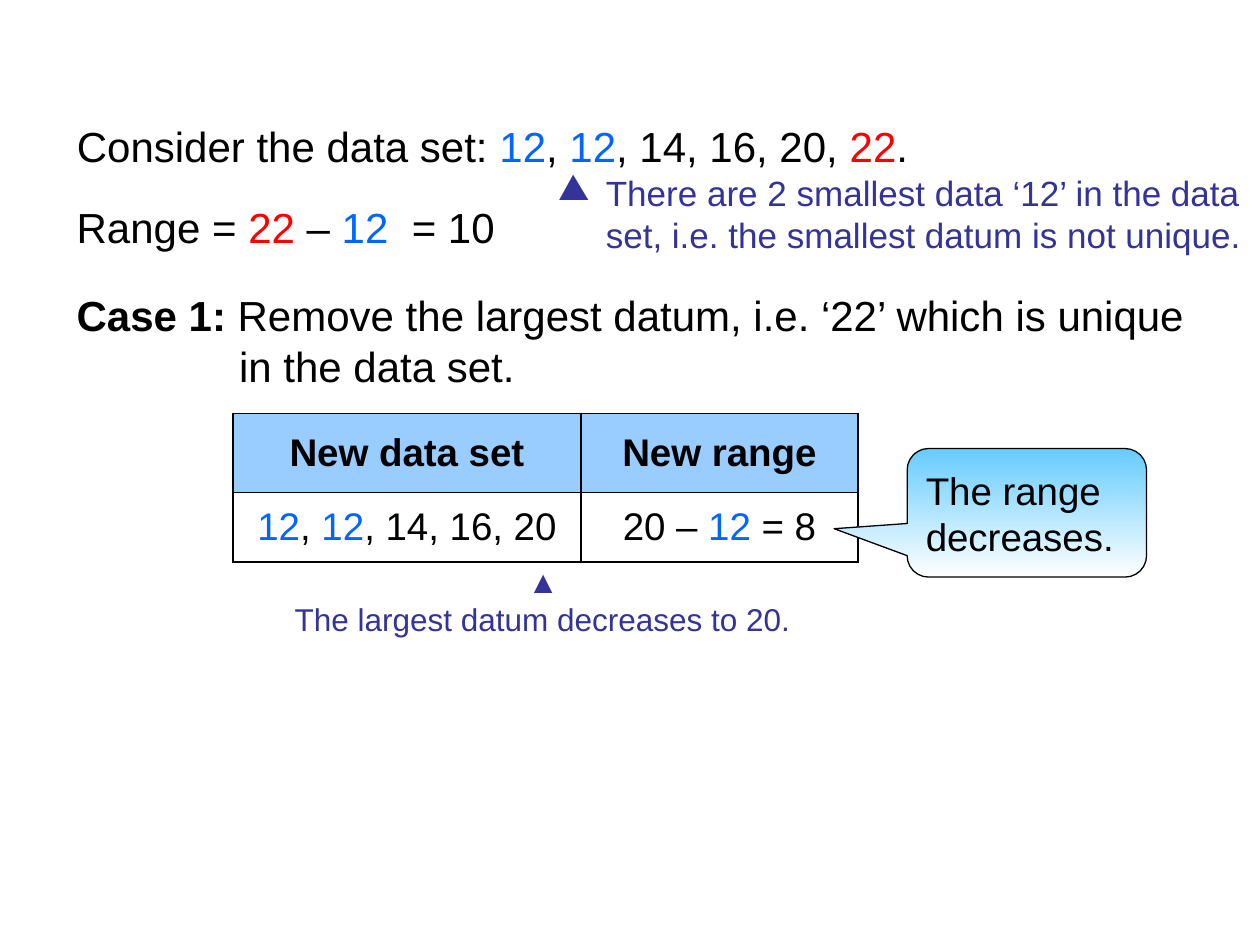
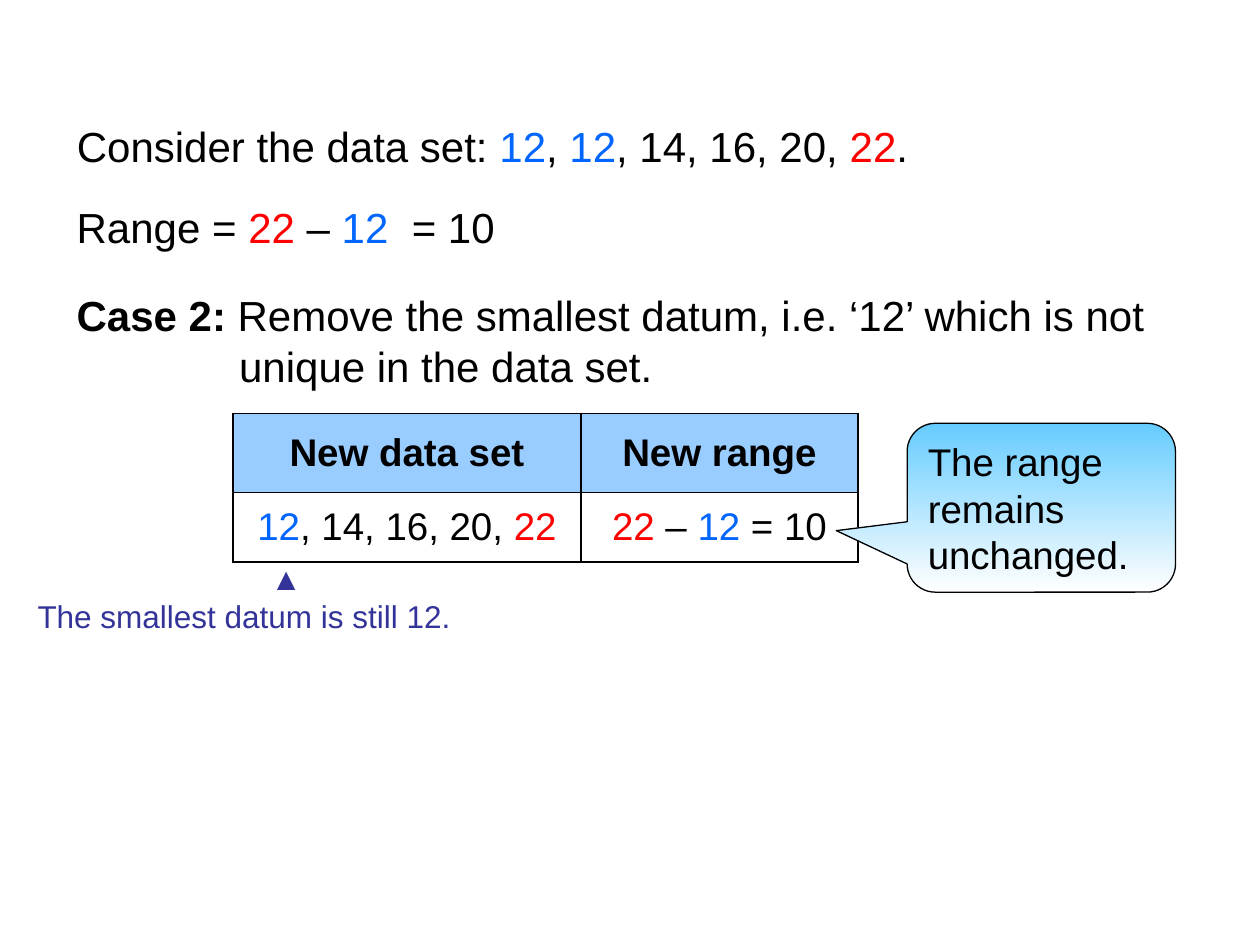
from dataclasses import dataclass
from typing import NamedTuple

from lxml import etree
from pptx import Presentation
from pptx.dml.color import RGBColor
from pptx.enum import shapes, text as text_enum
from pptx.oxml import ns
from pptx.util import Inches, Pt

COLORS = {
    "black": "000000",
    "white": "FFFFFF",
    "red": "FF0000",
    "blue": "0066FF",
    "note": "333399",
    "header": "99CCFF",
    "callout": "66CCFF",
}
FONT = "Arial"
TITLE_ONLY_LAYOUT = 5
ALIGN = text_enum.PP_ALIGN
ANCHOR = text_enum.MSO_ANCHOR

# Shared geometry, in inches
LEFT_EDGE = 0.51
TABLE_TOP = 3.28
ROW_HEIGHTS = (0.63, 0.55)
CALLOUT_LEFT = 7.2
CASE_INDENT = 1.29
MARKER_INDENT = 1.85


class Box(NamedTuple):
    left: float
    top: float
    width: float
    height: float

    def lengths(self) -> list:
        return [Inches(value) for value in self]


class Run(NamedTuple):
    text: str
    color: str = ""
    bold: bool = False


class Column(NamedTuple):
    heading: str
    left: float
    width: float


@dataclass
class Callout:
    text: str
    box: Box
    tip: tuple


@dataclass
class Case:
    label: str
    action: str
    new_data: list
    new_range: list
    callout: Callout
    note: str
    note_box: Box
    remark: tuple = ()


SMALLEST = Run("12", "blue")
LARGEST = Run("22", "red")
COLUMNS = (Column("New data set", 1.85, 2.76), Column("New range", 4.61, 2.2))

CASES = [
    Case(
        label="Case 1: ",
        action="Remove the largest datum, i.e. ‘22’ which is unique in the data set.",
        new_data=[SMALLEST, Run(", "), SMALLEST, Run(", 14, 16, 20")],
        new_range=[Run("20 – "), SMALLEST, Run(" = 8")],
        callout=Callout("The range decreases.", Box(CALLOUT_LEFT, 3.56, 1.9, 1.02), (-0.805, 0.124)),
        note="The largest datum decreases to 20.",
        note_box=Box(2.24, 4.41, 4.17, 0.7),
        remark=("There are 2 smallest data ‘12’ in the data",
                "set, i.e. the smallest datum is not unique."),
    ),
    Case(
        label="Case 2: ",
        action="Remove the smallest datum, i.e. ‘12’ which is not unique in the data set.",
        new_data=[SMALLEST, Run(", 14, 16, 20, "), LARGEST],
        new_range=[LARGEST, Run(" – "), SMALLEST, Run(" = 10")],
        callout=Callout("The range remains unchanged.", Box(CALLOUT_LEFT, 3.36, 2.13, 1.34), (-0.764, 0.136)),
        note="The smallest datum is still 12.",
        note_box=Box(0.2, 4.39, 4.17, 0.71),
    ),
]


def rgb(name: str) -> RGBColor:
    return RGBColor.from_string(COLORS[name])


def write_text(paragraph, content, *, size: float, color: str = "black",
               align=ALIGN.LEFT, margin: float = 0, hanging: float = 0,
               bullet: str = "") -> None:
    """Fill a paragraph with a string or a list of runs."""
    properties = paragraph._p.get_or_add_pPr()
    properties.set("marL", str(Inches(margin)))
    properties.set("indent", str(-Inches(hanging)))
    if bullet:
        etree.SubElement(properties, ns.qn("a:buChar")).set("char", bullet)
    paragraph.alignment = align
    for part in [Run(content)] if isinstance(content, str) else content:
        run = paragraph.add_run()
        run.text = part.text
        run.font.name = FONT
        run.font.size = Pt(size)
        run.font.bold = part.bold
        run.font.color.rgb = rgb(part.color or color)


def add_text_frame(slide, box: Box):
    frame = slide.shapes.add_textbox(*box.lengths()).text_frame
    frame.word_wrap = True
    return frame


def add_line(slide, box: Box, content, **formats) -> None:
    write_text(add_text_frame(slide, box).paragraphs[0], content, size=24, **formats)


def set_title(slide, content: list) -> None:
    title = slide.shapes.title
    title.left, title.top, title.width, title.height = Box(LEFT_EDGE, 0.91, 9.07, 0.51).lengths()
    title.text_frame.vertical_anchor = ANCHOR.TOP
    title.text_frame.auto_size = text_enum.MSO_AUTO_SIZE.NONE
    write_text(title.text_frame.paragraphs[0], content, size=24)


def add_borders(cell) -> None:
    properties = cell._tc.get_or_add_tcPr()
    for index, side in enumerate(("lnL", "lnR", "lnT", "lnB")):
        line = etree.Element(ns.qn(f"a:{side}"), w=str(Pt(1)))
        fill = etree.SubElement(line, ns.qn("a:solidFill"))
        etree.SubElement(fill, ns.qn("a:srgbClr"), val=COLORS["black"])
        properties.insert(index, line)


def add_column_table(slide, column: Column, value: list) -> None:
    box = Box(column.left, TABLE_TOP, column.width, sum(ROW_HEIGHTS))
    table = slide.shapes.add_table(len(ROW_HEIGHTS), 1, *box.lengths()).table
    table.horz_banding = False
    contents = ([Run(column.heading, bold=True)], value)
    for row, (content, fill) in enumerate(zip(contents, ("header", "white"))):
        table.rows[row].height = Inches(ROW_HEIGHTS[row])
        cell = table.cell(row, 0)
        cell.vertical_anchor = ANCHOR.MIDDLE
        cell.fill.solid()
        cell.fill.fore_color.rgb = rgb(fill)
        add_borders(cell)
        write_text(cell.text_frame.paragraphs[0], content, size=22, align=ALIGN.CENTER)


def add_callout(slide, callout: Callout) -> None:
    shape = slide.shapes.add_shape(
        shapes.MSO_SHAPE.ROUNDED_RECTANGULAR_CALLOUT, *callout.box.lengths())
    shape.shadow.inherit = False
    shape.adjustments[0], shape.adjustments[1] = callout.tip
    shape.fill.gradient()
    shape.fill.gradient_angle = 270
    for stop, color in zip(shape.fill.gradient_stops, ("callout", "white")):
        stop.color.rgb = rgb(color)
    shape.line.color.rgb = rgb("black")
    shape.line.width = Pt(0.75)
    shape.text_frame.word_wrap = True
    shape.text_frame.vertical_anchor = ANCHOR.MIDDLE
    write_text(shape.text_frame.paragraphs[0], callout.text, size=22)


def add_remark(slide, lines: tuple) -> None:
    """Explain the repeated datum beside the range."""
    frame = add_text_frame(slide, Box(4.33, 1.31, 5.79, 0.77))
    style = dict(size=20, color="note", margin=0.38)
    write_text(frame.paragraphs[0], lines[0], hanging=0.38, bullet="▲", **style)
    for line in lines[1:]:
        write_text(frame.add_paragraph(), line, **style)


def add_note(slide, box: Box, note: str) -> None:
    """Point up at a table value, with a remark below the marker."""
    frame = add_text_frame(slide, box)
    write_text(frame.paragraphs[0], "▲", size=18, color="note", margin=MARKER_INDENT)
    write_text(frame.add_paragraph(), note, size=18, color="note")


def build_slide(presentation, case: Case) -> None:
    slide = presentation.slides.add_slide(presentation.slide_layouts[TITLE_ONLY_LAYOUT])

    # Data set and its range
    set_title(slide, [Run("Consider the data set: "), SMALLEST, Run(", "), SMALLEST,
                      Run(", 14, 16, 20, "), LARGEST, Run(".")])
    add_line(slide, Box(LEFT_EDGE, 1.55, 3.01, 0.51),
             [Run("Range = "), LARGEST, Run(" – "), SMALLEST])
    add_line(slide, Box(3.17, 1.55, 3.01, 0.51), "= 10")
    if case.remark:
        add_remark(slide, case.remark)

    # Case and its outcome
    add_line(slide, Box(LEFT_EDGE, 2.25, 9.23, 0.91),
             [Run(case.label, bold=True), Run(case.action)],
             margin=CASE_INDENT, hanging=CASE_INDENT)
    for column, value in zip(COLUMNS, (case.new_data, case.new_range)):
        add_column_table(slide, column, value)
    add_callout(slide, case.callout)
    add_note(slide, case.note_box, case.note)


def main() -> None:
    presentation = Presentation()
    presentation.slide_width = Inches(10)
    presentation.slide_height = Inches(7.5)
    for case in CASES:
        build_slide(presentation, case)
    presentation.save("out.pptx")


if __name__ == "__main__":
    main()
